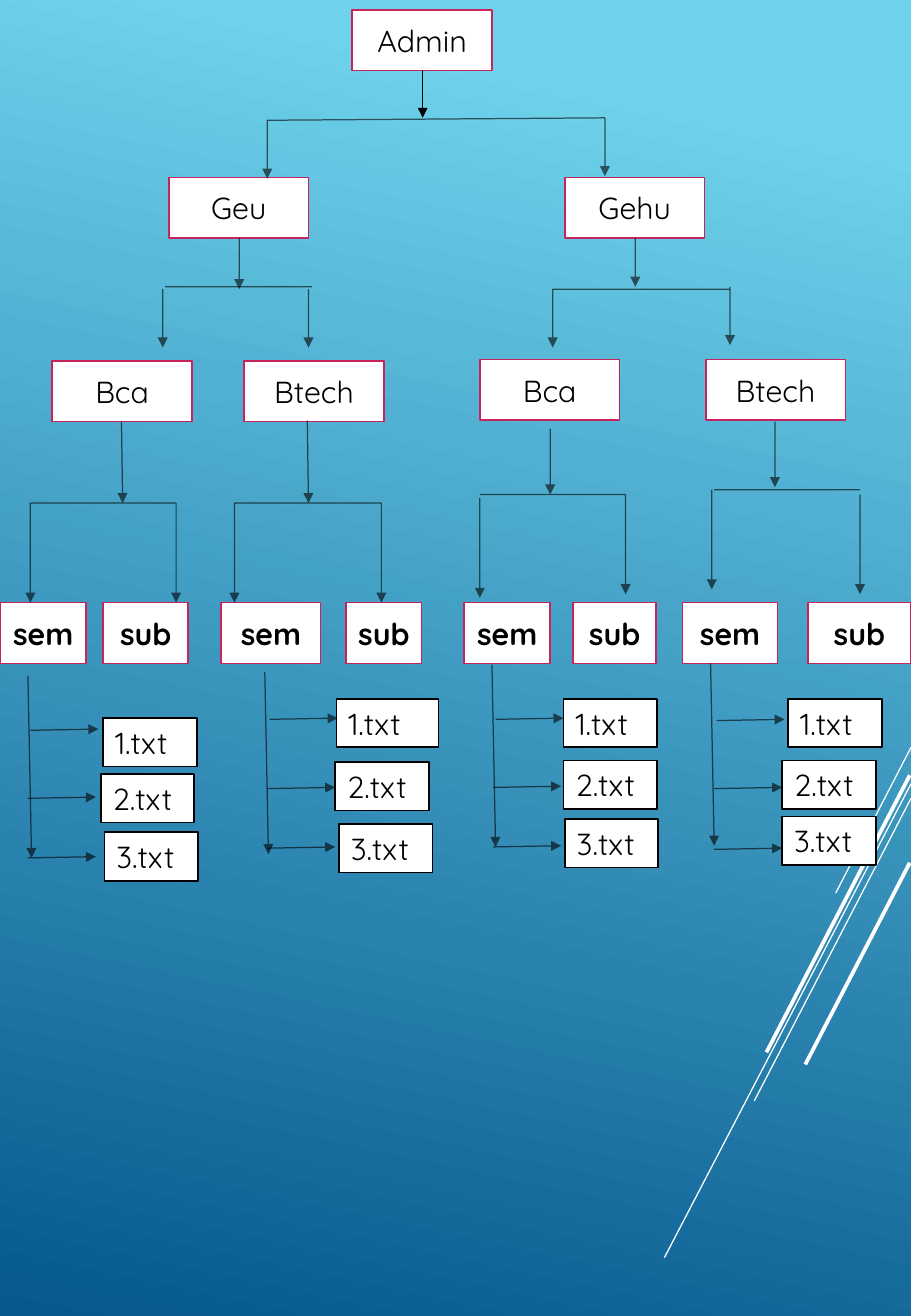
from lxml.etree import SubElement
from pptx import Presentation
from pptx.dml.color import RGBColor
from pptx.enum.shapes import MSO_CONNECTOR as Connector, MSO_SHAPE as Shape
from pptx.enum.text import MSO_ANCHOR as Anchor, PP_ALIGN as Align
from pptx.oxml.ns import qn
from pptx.util import Inches, Pt

THEME = {
    "sky": RGBColor.from_string("6ED2EB"),
    "sea": RGBColor.from_string("06588E"),
    "white": RGBColor.from_string("FFFFFF"),
    "black": RGBColor.from_string("000000"),
    "pink": RGBColor.from_string("C6235F"),
    "font": "Quicksand",
    "size": Pt(18),
    "border": Pt(1),
    "thin": 0.75,
    "thick": 2.25,
    "soft": 60,
}

deck = Presentation()
deck.slide_width, deck.slide_height = Inches(7.5), Inches(10.83)
column, row = deck.slide_width / 750, deck.slide_height / 1083
page = deck.slides.add_slide(deck.slide_layouts[6])


def add_box(label, left, top, width, height, border, bold, frame_format, align):
    box = page.shapes.add_shape(
        Shape.RECTANGLE, round(left * column), round(top * row),
        round(width * column), round(height * row))
    box.shadow.inherit = False
    box.fill.solid()
    box.fill.fore_color.rgb = THEME["white"]
    box.line.color.rgb = border
    box.line.width = THEME["border"]
    para = box.text_frame.paragraphs[0]
    para.alignment = align
    span = para.add_run()
    span.text = label
    span.font.color.rgb = THEME["black"]
    span_format = {"name": THEME["font"], "size": THEME["size"], "bold": bold}
    for target, values in ((box.text_frame, frame_format), (span.font, span_format)):
        for name, value in values.items():
            setattr(target, name, value)


def add_line(x1, y1, x2, y2, color=THEME["black"], weight=THEME["thin"],
             opacity=THEME["soft"], arrow=True):
    line = page.shapes.add_connector(
        Connector.STRAIGHT, round(x1 * column), round(y1 * row),
        round(x2 * column), round(y2 * row))
    line.line.color.rgb = color
    line.line.width = Pt(weight)
    properties = line._element.spPr
    if opacity < 100:
        tint = properties.find(".//" + qn("a:srgbClr"))
        SubElement(tint, qn("a:alpha"), val=str(opacity * 1000))
    if arrow:
        SubElement(properties.find(qn("a:ln")), qn("a:tailEnd"), type="triangle")
    SubElement(properties, qn("a:effectLst"))


backdrop = page.background.fill
backdrop.gradient()
backdrop.gradient_angle = 360 - 102
for stop, position, color in zip(
        backdrop.gradient_stops, (0.1, 1), (THEME["sky"], THEME["sea"])):
    stop.position = position
    stop.color.rgb = color

rays = [
    (750, 615, 688, 735, "thin"),
    (750, 645, 547, 1035, "thin"),
    (750, 657, 621, 906, "thin"),
    (749, 638, 631, 866, "thick"),
    (749, 710, 663, 876, "thick"),
]
for *ends, weight in rays:
    add_line(*ends, THEME["white"], THEME[weight], opacity=100, arrow=False)

node_width, node_height, leaf_top, file_height = 115, 50, 496, 40
nodes = [
    ("Admin", 290, 8),
    ("Geu", 139, 146), ("Gehu", 465, 146),
    ("Bca", 43, 297), ("Btech", 201, 297),
    ("Bca", 395, 296), ("Btech", 581, 296),
]
leaves = [
    ("sem", 0, 71), ("sub", 85, 70),
    ("sem", 182, 82), ("sub", 285, 62),
    ("sem", 382, 71), ("sub", 472, 68),
    ("sem", 562, 78), ("sub", 665, 85),
]
boxes = [(label, left, top, node_width, False) for label, left, top in nodes]
boxes += [(label, left, leaf_top, width, True) for label, left, width in leaves]
node_format = {"word_wrap": False, "vertical_anchor": Anchor.MIDDLE}
for label, left, top, width, bold in boxes:
    add_box(label, left, top, width, node_height, THEME["pink"], bold,
            node_format, Align.CENTER)

short_drop, long_drop = 48, 82
branches = [
    ((348, 58, 348, 97), (220, 99, 498, 97), ((220, 99), (498, 97)), short_drop),
    ((197, 196, 197, 238), (136, 236, 257, 236), ((134, 238), (254, 238)), short_drop),
    ((523, 196, 523, 236), (455, 238, 601, 238), ((455, 238), (601, 236)), short_drop),
    ((100, 347, 101, 414), (25, 414, 145, 414), ((25, 414), (145, 414)), long_drop),
    ((253, 346, 254, 414), (193, 414, 314, 414), ((193, 414), (314, 414)), long_drop),
    ((453, 353, 453, 407), (395, 407, 515, 407), ((395, 410), (515, 407)), long_drop),
    ((638, 347, 638, 401), (588, 403, 708, 403), ((586, 403), (708, 407)), long_drop),
]
for index, (stem, bar, drops, length) in enumerate(branches):
    add_line(*stem, opacity=THEME["soft"] if index else 100)
    add_line(*bar, arrow=False)
    for x, y in drops:
        add_line(x, y, x, y + length)

file_lists = [
    ((23, 556), 23, (601, 657, 706), ((85, 591, 77), (83, 637, 77), (86, 685, 77))),
    ((218, 553), 220, (592, 649, 698), ((277, 575, 84), (276, 627, 77), (279, 678, 77))),
    ((405, 547), 406, (592, 648, 697), ((464, 575, 77), (464, 626, 77), (465, 674, 77))),
    ((585, 546), 588, (593, 649, 699), ((649, 575, 77), (644, 626, 77), (644, 672, 77))),
]
file_format = {"word_wrap": True, "vertical_anchor": Anchor.TOP}
for (trunk_x, trunk_y), fork, prongs, files in file_lists:
    add_line(trunk_x, trunk_y, trunk_x + 3, trunk_y + 150)
    for number, (y, (left, top, width)) in enumerate(zip(prongs, files), 1):
        x = fork + 2 * (number == 1)
        add_line(x, y, x + 56, y - 1)
        add_box(f"{number}.txt", left, top, width, file_height, THEME["black"],
                False, file_format, Align.LEFT)

deck.save("out.pptx")
